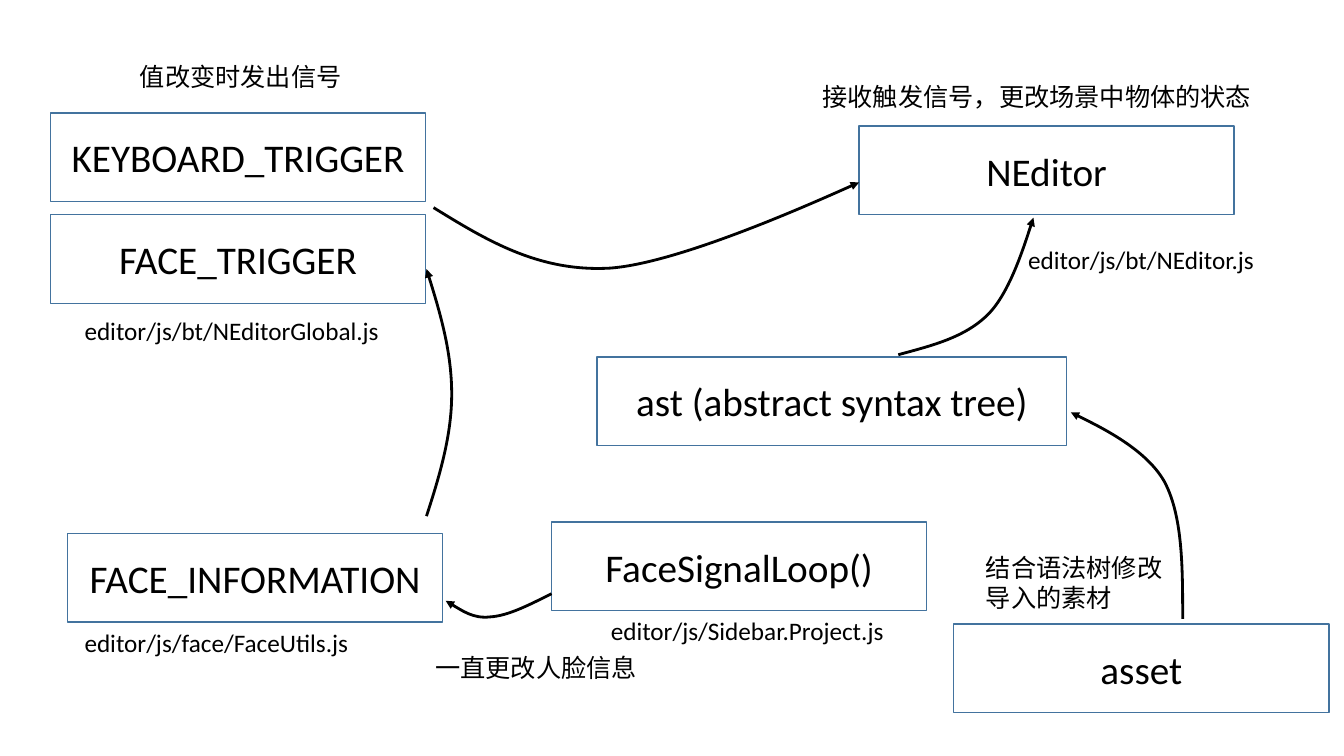
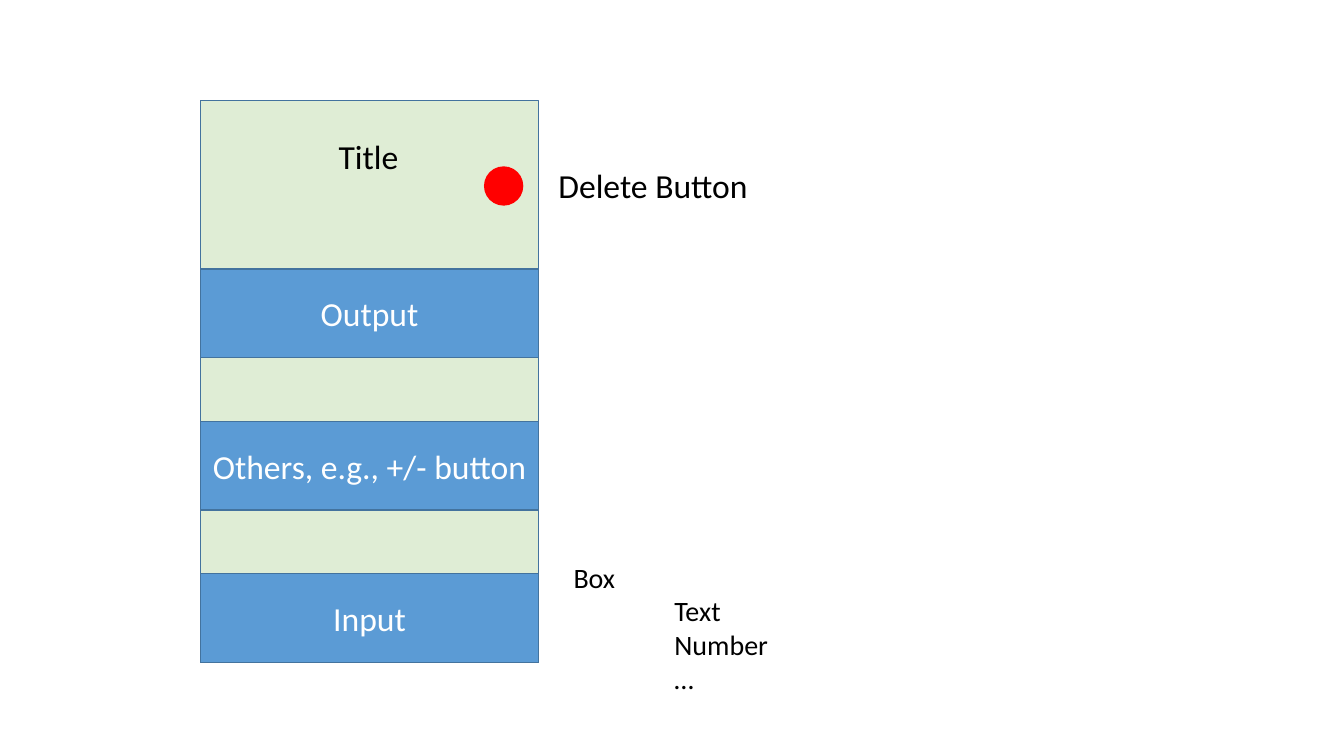
"""Build two slides: a signal-flow diagram and a node card layout."""
from lxml.etree import SubElement
from pptx import Presentation
from pptx.dml.color import RGBColor
from pptx.enum.shapes import MSO_SHAPE as SHAPE
from pptx.enum.text import MSO_ANCHOR as ANCHOR, MSO_AUTO_SIZE as AUTO, PP_ALIGN as ALIGN
from pptx.oxml.ns import qn
from pptx.util import Inches, Pt

FONT = "Calibri"
BLACK = RGBColor(0, 0, 0)
WHITE = RGBColor(255, 255, 255)
RED = RGBColor(255, 0, 0)
BLUE = RGBColor(0x5B, 0x9B, 0xD5)
EDGE = RGBColor(0x43, 0x73, 0x9E)
GREEN = RGBColor(0xC5, 0xE0, 0xB4)

BOX_W, BOX_H = 3.72, 0.88
MODULES = [
    ("KEYBOARD_TRIGGER", 0.5, 1.12, BOX_W),
    ("FACE_TRIGGER", 0.5, 2.13, BOX_W),
    ("FACE_INFORMATION", 0.67, 5.29, BOX_W),
    ("FaceSignalLoop()", 5.47, 5.18, BOX_W),
    ("NEditor", 8.52, 1.25, BOX_W),
    ("ast (abstract syntax tree)", 5.92, 3.54, 4.66),
    ("asset", 9.46, 6.19, BOX_W),
]
NOTES = [
    (["editor/js/bt/NEditorGlobal.js"], 0.74, 3.08, 3.23),
    (["editor/js/face/FaceUtils.js"], 0.74, 6.17, 3.23),
    (["editor/js/Sidebar.Project.js"], 5.96, 6.06, 3.23),
    (["editor/js/bt/NEditor.js"], 10.1, 2.37, 3.23),
    (["值改变时发出信号"], 1.29, 0.56, 2.4),
    (["一直更改人脸信息"], 4.22, 6.42, 2.4),
    (["接收触发信号，更改场景中物体的状态"], 8.06, 0.76, 4.79),
    (["结合语法树修改", "导入的素材"], 9.68, 5.43, 2.28),
]
ARROWS = [
    [(4.23, 5.12), (4.36, 4.72), (4.48, 4.32), (4.48, 3.91),
     (4.48, 3.5), (4.36, 3.08), (4.23, 2.67)],
    [(5.47, 5.89), (5.25, 6), (5.04, 6.11), (4.86, 6.12),
     (4.69, 6.14), (4.42, 5.96), (4.42, 5.96)],
    [(4.3, 2.06), (4.82, 2.38), (5.34, 2.7), (6.05, 2.66),
     (6.75, 2.61), (8.52, 1.81), (8.52, 1.81)],
    [(8.91, 3.52), (9.24, 3.43), (9.57, 3.35), (9.8, 3.12),
     (10.02, 2.9), (10.25, 2.16), (10.25, 2.16)],
    [(11.73, 6.14), (11.73, 5.63), (11.73, 5.12), (11.55, 4.78),
     (11.36, 4.44), (10.62, 4.09), (10.62, 4.09)],
]

CARD_X, CARD_Y, CARD_W, CARD_H = 1.99, 1, 3.35, 5.57
BAND_Y, BAND_STEP = 2.67, 1.51
BANDS = ["Output", "Others, e.g., +/- button", "Input"]
INPUT_KINDS = ["Box", "Text", "Number", "…"]
DOT = 0.39


def style(p, size, color):
    p.font.name, p.font.size, p.font.color.rgb = FONT, Pt(size), color


def add_box(slide, x, y, w, h, text="", size=28, color=BLACK, fill=None, edge=EDGE,
            kind=SHAPE.RECTANGLE):
    sp = slide.shapes.add_shape(kind, *map(Inches, (x, y, w, h)))
    sp.shadow.inherit = False
    if fill is None:
        sp.fill.background()
    else:
        sp.fill.solid()
        sp.fill.fore_color.rgb = fill
    if edge is None:
        sp.line.fill.background()
    else:
        sp.line.color.rgb = edge
        sp.line.width = Pt(1)
    if text:
        tf = sp.text_frame
        tf.word_wrap, tf.vertical_anchor = True, ANCHOR.MIDDLE
        p = tf.paragraphs[0]
        p.text, p.alignment = text, ALIGN.CENTER
        style(p, size, color)
    return sp


def add_note(slide, lines, x, y, w, size=18):
    height = 0.1 + len(lines) * size / 60
    tf = slide.shapes.add_textbox(*map(Inches, (x, y, w, height))).text_frame
    tf.word_wrap, tf.auto_size = True, AUTO.SHAPE_TO_FIT_TEXT
    tf.text = "\n".join(lines)
    for p in tf.paragraphs:
        style(p, size, BLACK)
    return tf


def add_arrow(slide, points):
    start, *rest = [(Inches(x), Inches(y)) for x, y in points]
    builder = slide.shapes.build_freeform(*start)
    builder.add_line_segments(rest, close=False)
    sp = builder.convert_to_shape()
    sp.shadow.inherit = False
    sp.fill.background()
    sp.line.color.rgb = BLACK
    sp.line.width = Pt(2)
    SubElement(sp._element.spPr.find(qn("a:ln")), qn("a:tailEnd"), type="triangle")
    outline = next(sp._element.iter(qn("a:path")))
    for i, segment in enumerate(outline.findall(qn("a:lnTo"))):
        if i % 3 == 0:
            curve = SubElement(outline, qn("a:cubicBezTo"))
        curve.append(segment[0])
        outline.remove(segment)


def build_flow(slide):
    for text, x, y, w in MODULES:
        add_box(slide, x, y, w, BOX_H, text)
    for note in NOTES:
        add_note(slide, *note)
    for points in ARROWS:
        add_arrow(slide, points)


def build_card(slide):
    card = add_box(slide, CARD_X, CARD_Y, CARD_W, CARD_H, fill=GREEN)
    tint = card._element.spPr.find(qn("a:solidFill"))[0]
    SubElement(tint, qn("a:alpha"), val="55000")
    for i, text in enumerate(BANDS):
        add_box(slide, CARD_X, BAND_Y + i * BAND_STEP, CARD_W, BOX_H, text, 24, WHITE, BLUE)
    add_box(slide, 4.8, 1.65, DOT, DOT, fill=RED, edge=None, kind=SHAPE.OVAL)
    add_note(slide, ["Title"], 3.26, 1.3, 0.8, 24)
    add_note(slide, ["Delete Button"], 5.44, 1.59, 2.35, 24)
    tf = add_note(slide, INPUT_KINDS, 5.59, 5.51, 4.86, 20)
    for p in tf.paragraphs[1:]:
        p._p.get_or_add_pPr().set("marL", str(Inches(1)))


prs = Presentation()
prs.slide_width, prs.slide_height = Inches(13.33), Inches(7.5)
for build in (build_flow, build_card):
    build(prs.slides.add_slide(prs.slide_layouts[6]))
prs.save("out.pptx")
